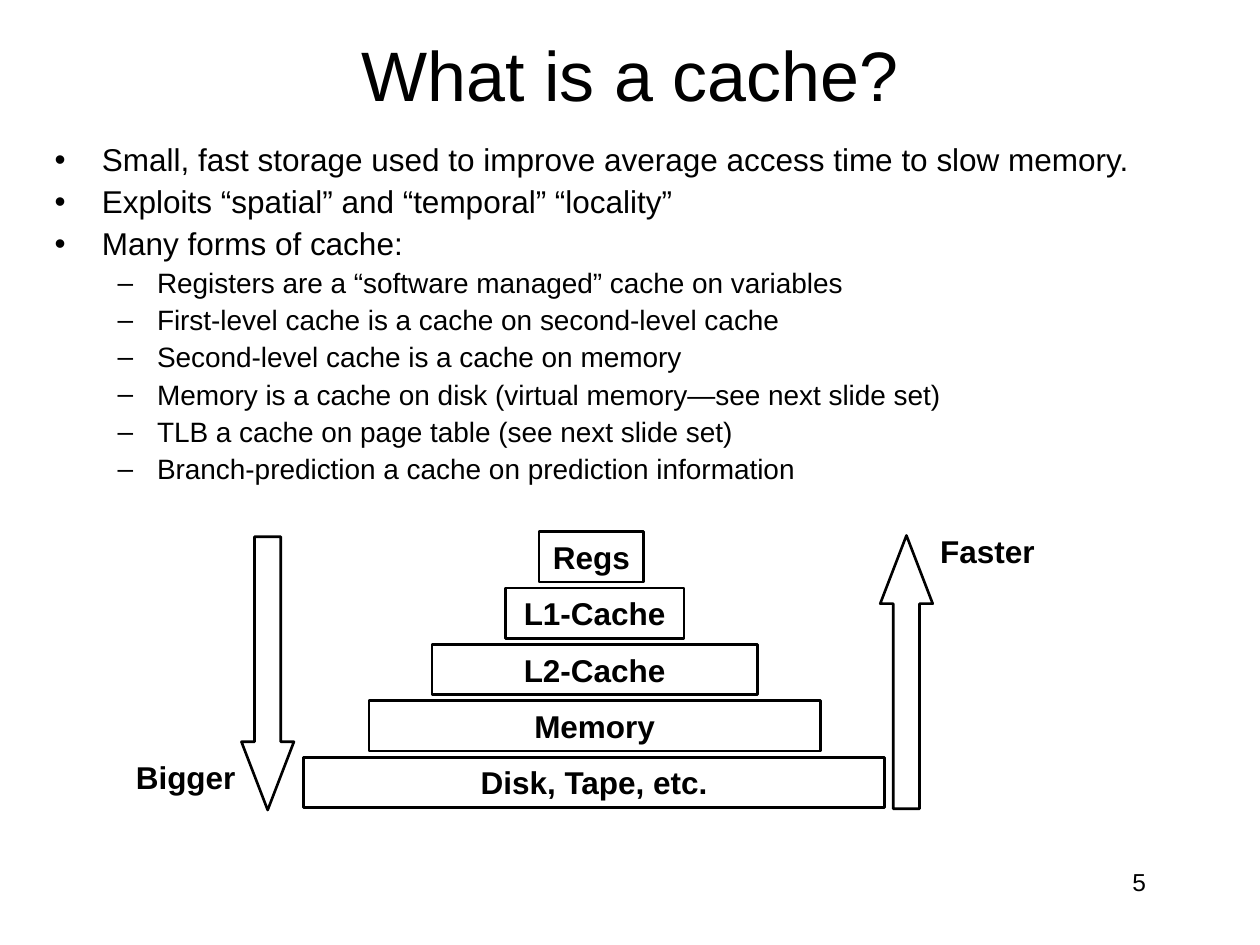
from lxml import etree
from pptx import Presentation
from pptx.dml.color import RGBColor
from pptx.enum.shapes import MSO_SHAPE
from pptx.enum.text import MSO_ANCHOR, MSO_AUTO_SIZE, PP_ALIGN
from pptx.oxml.ns import qn
from pptx.util import Pt

RECTANGLE, DOWN_ARROW, UP_ARROW = MSO_SHAPE.RECTANGLE, MSO_SHAPE.DOWN_ARROW, MSO_SHAPE.UP_ARROW
TOP, MIDDLE = MSO_ANCHOR.TOP, MSO_ANCHOR.MIDDLE
CENTER, RIGHT = PP_ALIGN.CENTER, PP_ALIGN.RIGHT
NO_AUTOFIT = MSO_AUTO_SIZE.NONE

FONT = "Arial"
BLACK = "000000"

POINTS = [
    (0, "Small, fast storage used to improve average access time to slow memory."),
    (0, "Exploits “spatial” and “temporal” “locality”"),
    (0, "Many forms of cache:"),
    (1, "Registers are a “software managed” cache on variables"),
    (1, "First-level cache is a cache on second-level cache"),
    (1, "Second-level cache is a cache on memory"),
    (1, "Memory is a cache on disk (virtual memory—see next slide set)"),
    (1, "TLB a cache on page table (see next slide set)"),
    (1, "Branch-prediction a cache on prediction information"),
]
# For each list level: bullet, text indent, hanging indent, size, space before
LEVEL_STYLES = [("•", 27, 27, 18, 4.5), ("–", 58.5, 22.5, 16, 4)]

# Name, left offset within the pyramid, width
MEMORY_LEVELS = [
    ("Regs", 134.6, 59.8),
    ("L1-Cache", 115.2, 102.2),
    ("L2-Cache", 73.4, 185.8),
    ("Memory", 37.4, 257.8),
    ("Disk, Tape, etc.", 0, 332),
]


def color(hex_string):
    return RGBColor.from_string(hex_string)


def place(shape, box):
    shape.left, shape.top, shape.width, shape.height = (Pt(length) for length in box)


def style_font(para, size, bold=False):
    font = para.font
    font.name, font.size, font.bold = FONT, Pt(size), bold
    font.color.rgb = color(BLACK)


def write_line(shape, text, size, bold=False, align=CENTER, anchor=MIDDLE, wrap=True):
    frame = shape.text_frame
    frame.auto_size = NO_AUTOFIT
    frame.word_wrap = wrap
    frame.vertical_anchor = anchor
    para = frame.paragraphs[0]
    para.text = text
    para.alignment = align
    style_font(para, size, bold)


def add_label(page, box, text, size, **options):
    label = page.shapes.add_textbox(*(Pt(length) for length in box))
    write_line(label, text, size, **options)


def add_outline(page, kind, box):
    """Add an unfilled preset shape with a black line."""
    shape = page.shapes.add_shape(kind, *(Pt(length) for length in box))
    shape.shadow.inherit = False
    shape.fill.background()
    shape.line.color.rgb = color(BLACK)
    shape.line.width = Pt(1.5)
    return shape


def set_bullet(para, bullet, indent, hanging):
    properties = para._p.get_or_add_pPr()
    properties.set("marL", str(Pt(indent)))
    properties.set("indent", str(-Pt(hanging)))
    etree.SubElement(properties, qn("a:buChar"), char=bullet)


def fill_title(page, box):
    title = page.shapes.title
    place(title, box)
    write_line(title, "What is a cache?", 40)


def fill_points(page, box):
    body = page.placeholders[1]
    place(body, box)
    frame = body.text_frame
    frame.auto_size = NO_AUTOFIT
    frame.word_wrap = True
    for index, (level, text) in enumerate(POINTS):
        para = frame.paragraphs[0] if index == 0 else frame.add_paragraph()
        bullet, indent, hanging, size, space = LEVEL_STYLES[level]
        para.text = text
        para.level = level
        set_bullet(para, bullet, indent, hanging)
        para.line_spacing = 0.9
        para.space_before = Pt(space if index else 0)
        style_font(para, size)


def add_pyramid(page, box):
    left, top, _, height = box
    bar_height = 28.8
    pitch = (height - bar_height) / (len(MEMORY_LEVELS) - 1)
    for index, (name, offset, width) in enumerate(MEMORY_LEVELS):
        bar = add_outline(page, RECTANGLE, (left + offset, top + index * pitch, width, bar_height))
        write_line(bar, name, 18, bold=True)


def add_trend(page, kind, arrow_box, text, label_box):
    arrow = add_outline(page, kind, arrow_box)
    arrow.adjustments[0] = 0.5
    arrow.adjustments[1] = 1.3
    add_label(page, label_box, text, 18, bold=True, wrap=False)


def main():
    deck = Presentation()
    deck.slide_width, deck.slide_height = Pt(720), Pt(540)
    page = deck.slides.add_slide(deck.slide_layouts[1])
    fill_title(page, (78, 24, 564, 36))
    fill_points(page, (24, 79, 696, 219))
    add_pyramid(page, (173.5, 303.8, 332, 157.7))
    add_trend(page, DOWN_ARROW, (138, 306.7, 30, 156.2), "Bigger", (70.6, 429.5, 71, 28.8))
    add_trend(page, UP_ARROW, (503, 306, 30, 156.2), "Faster", (530, 300.5, 68.5, 28.8))
    add_label(page, (516, 492, 146, 36), "5", 14, align=RIGHT, anchor=TOP)
    deck.save("out.pptx")


if __name__ == "__main__":
    main()
